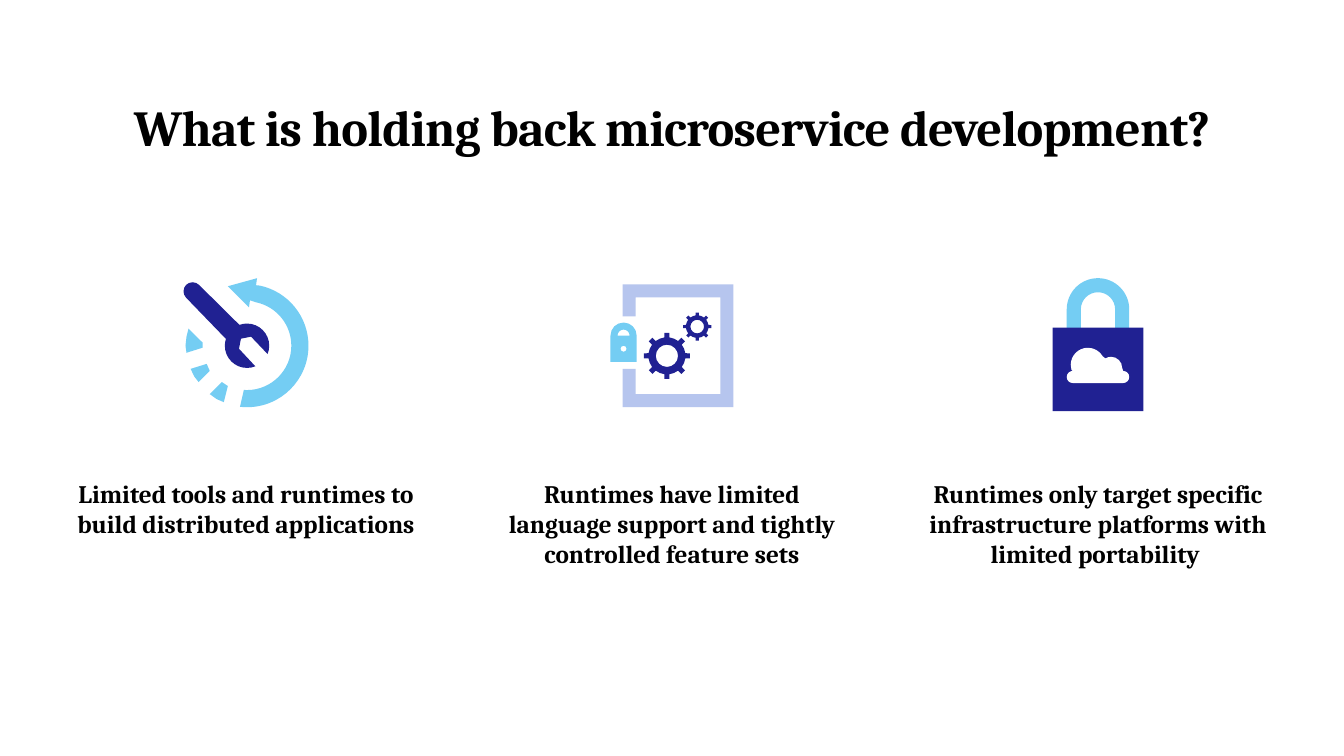
import math
from dataclasses import dataclass

import lxml.etree
import pptx
import pptx.dml.color
import pptx.enum.shapes
import pptx.enum.text
import pptx.oxml.ns
import pptx.util

Inches = pptx.util.Inches


@dataclass(frozen=True)
class Theme:
    """Colours, typeface and type sizes of the slide."""
    ink: str = "000000"
    navy: str = "202192"
    sky: str = "74CDF3"
    lavender: str = "B6C5EE"
    white: str = "FFFFFF"
    font: str = "Cambria"
    title_size: int = 36
    caption_size: int = 18


THEME = Theme()
CONTENT_LEFT, CONTENT_WIDTH, COLUMN_WIDTH = 0.64, 12.05, 3.6
COLUMN_PITCH = (CONTENT_WIDTH - COLUMN_WIDTH) / 2
ICON_MIDDLE, CAPTION_TOP = 3.43, 4.74


def lines(*points):
    """Return one straight outline step for each point."""
    return [[point] for point in points]


def arc(x, y, radius, start, end):
    """Return a step to the arc's start and curves split at the axes, degrees clockwise."""
    low, high = sorted((start, end))
    axes = [angle for angle in range(-360, 361, 90) if low < angle < high]
    stops = sorted([low, *axes, high], reverse=end < start)
    steps = lines((x + radius * math.cos(math.radians(start)),
                   y + radius * math.sin(math.radians(start))))
    for first, last in zip(stops, stops[1:]):
        a, b = math.radians(first), math.radians(last)
        pull = 4 / 3 * math.tan((b - a) / 4)
        offsets = [(math.cos(a) - pull * math.sin(a), math.sin(a) + pull * math.cos(a)),
                   (math.cos(b) + pull * math.sin(b), math.sin(b) - pull * math.cos(b)),
                   (math.cos(b), math.sin(b))]
        steps.append([(x + radius * dx, y + radius * dy) for dx, dy in offsets])
    return steps


def paint(shape, color):
    """Give a shape a flat fill without outline or shadow."""
    shape.shadow.inherit = False
    shape.fill.solid()
    shape.fill.fore_color.rgb = pptx.dml.color.RGBColor.from_string(color)
    shape.line.fill.background()


def bend(shape, steps):
    """Turn each three-point step of a freeform into a cubic curve."""
    segments = iter(list(shape._element.iter(pptx.oxml.ns.qn("a:lnTo"))))
    for step in steps:
        segment = next(segments)
        if len(step) == 3:
            curve = lxml.etree.Element(pptx.oxml.ns.qn("a:cubicBezTo"))
            segment.addprevious(curve)
            for part in (segment, next(segments), next(segments)):
                curve.append(part[0])
                part.getparent().remove(part)


def draw_outline(group, center, color, *contours):
    """Draw closed contours, given as offsets from the center, as one freeform."""
    builder = None
    for contour in contours:
        points = [(Inches(center[0] + x), Inches(center[1] + y))
                  for step in contour for x, y in step]
        if builder is None:
            builder = group.shapes.build_freeform(*points[0])
        else:
            builder.move_to(*points[0])
        builder.add_line_segments(points[1:], close=True)
    shape = builder.convert_to_shape()
    bend(shape, [step for contour in contours for step in contour[1:]])
    paint(shape, color)


def draw_gear(group, center, x, y, radius):
    """Draw an eight-toothed gear with a round hole."""
    rim = []
    for tooth in range(0, 360, 45):
        rim += arc(x, y, radius * 0.8, tooth - 37, tooth - 8)
        rim += [arc(x, y, radius, side, side)[0] for side in (tooth - 6.3, tooth + 6.3)]
    draw_outline(group, center, THEME.navy, rim, arc(x, y, radius * 0.48, 360, 0))


def draw_tools_icon(group, center):
    """Draw a wrench inside a dashed circular arrow."""
    dashes = [
        [(-0.57, -0.17), (-0.43, -0.03), (-0.43, 0.02), (-0.59, 0.07), (-0.6, 0), (-0.59, -0.09)],
        [(-0.39, 0.18), (-0.36, 0.25), (-0.47, 0.36), (-0.51, 0.31), (-0.55, 0.23)],
        [(-0.24, 0.36), (-0.18, 0.4), (-0.22, 0.56), (-0.29, 0.53), (-0.36, 0.48)],
    ]
    for dash in dashes:
        draw_outline(group, center, THEME.sky, lines(*dash))
    wrench = (lines((-0.07, 0.03), (-0.05, -0.07), (0.05, -0.09))
              + arc(0.01, 0, 0.22, 22, -110) + arc(-0.53, -0.54, 0.09, -45, -225)
              + arc(0.01, 0, 0.22, -162, -292))
    draw_outline(group, center, THEME.navy, wrench)
    arrowhead = lines((0.04, -0.45), (0.03, -0.38), (-0.18, -0.59), (0.11, -0.67), (0.1, -0.6))
    sweep = arc(0.01, 0, 0.61, -78, 96.5) + arc(0.01, 0, 0.44, 94, -78) + arrowhead
    draw_outline(group, center, THEME.sky, sweep)


def draw_runtime_icon(group, center):
    """Draw a locked frame that holds two gears."""
    lock = arc(-0.48, -0.1, 0.13, -180, 0) + lines((-0.35, 0.16), (-0.61, 0.16))
    draw_outline(group, center, THEME.sky, lock, arc(-0.48, 0.03, 0.03, 360, 0),
                 arc(-0.48, -0.1, 0.06, 0, -180))
    frame = lines((-0.49, -0.61), (-0.49, -0.29), (-0.36, -0.29), (-0.36, -0.48), (0.48, -0.48),
                  (0.48, 0.48), (-0.36, 0.48), (-0.36, 0.23), (-0.49, 0.23), (-0.49, 0.61),
                  (0.61, 0.61), (0.61, -0.61))
    draw_outline(group, center, THEME.lavender, frame)
    draw_gear(group, center, -0.05, 0.1, 0.23)
    draw_gear(group, center, 0.25, -0.19, 0.14)


def draw_platform_icon(group, center):
    """Draw a padlock marked with a cloud."""
    shackle = (arc(0, -0.36, 0.31, -180, 0) + lines((0.31, -0.13), (0.17, -0.13))
               + arc(0, -0.36, 0.17, 0, -180) + lines((-0.17, -0.13), (-0.31, -0.13)))
    draw_outline(group, center, THEME.sky, shackle)
    body = group.shapes.add_shape(
        pptx.enum.shapes.MSO_SHAPE.RECTANGLE, Inches(center[0] - 0.45),
        Inches(center[1] - 0.18), Inches(0.9), Inches(0.83))
    paint(body, THEME.navy)
    cloud = (arc(0.25, 0.31, 0.06, 90, -90) + arc(0.13, 0.22, 0.11, 0, -121)
             + arc(-0.1, 0.19, 0.17, -30, -197) + arc(-0.25, 0.31, 0.06, -90, -270))
    draw_outline(group, center, THEME.white, cloud)


def add_text(slide, box, text, size, anchor, spacing=None):
    """Add a centered bold text box without margins."""
    frame = slide.shapes.add_textbox(*map(Inches, box)).text_frame
    frame.word_wrap = True
    frame.auto_size = pptx.enum.text.MSO_AUTO_SIZE.SHAPE_TO_FIT_TEXT
    frame.vertical_anchor = anchor
    frame.margin_left = frame.margin_right = frame.margin_top = frame.margin_bottom = 0
    paragraph = frame.paragraphs[0]
    paragraph.alignment = pptx.enum.text.PP_ALIGN.CENTER
    run = paragraph.add_run()
    run.text = text
    run.font.name = THEME.font
    run.font.size = pptx.util.Pt(size)
    run.font.bold = True
    run.font.color.rgb = pptx.dml.color.RGBColor.from_string(THEME.ink)
    if spacing is not None:
        run._r.get_or_add_rPr().set("spc", str(round(spacing * 100)))


def add_column(slide, left, draw_icon, caption, height):
    """Place an icon centered above its caption."""
    draw_icon(slide.shapes.add_group_shape(), (left + COLUMN_WIDTH / 2, ICON_MIDDLE))
    add_text(slide, (left, CAPTION_TOP, COLUMN_WIDTH, height), caption,
             THEME.caption_size, pptx.enum.text.MSO_ANCHOR.TOP)


def main():
    """Build and save the slide."""
    presentation = pptx.Presentation()
    presentation.slide_width, presentation.slide_height = Inches(13.33), Inches(7.5)
    slide = presentation.slides.add_slide(presentation.slide_layouts[6])
    add_text(slide, (CONTENT_LEFT, 0.95, CONTENT_WIDTH, 0.61),
             "What is holding back microservice development?",
             THEME.title_size, pptx.enum.text.MSO_ANCHOR.MIDDLE, spacing=-0.5)
    columns = [
        (draw_tools_icon, "Limited tools and runtimes to build distributed applications", 0.61),
        (draw_runtime_icon,
         "Runtimes have limited language support and tightly controlled feature sets", 0.91),
        (draw_platform_icon,
         "Runtimes only target specific infrastructure platforms with limited portability ", 0.91),
    ]
    for index, column in enumerate(columns):
        add_column(slide, CONTENT_LEFT + index * COLUMN_PITCH, *column)
    presentation.save("out.pptx")


if __name__ == "__main__":
    main()
